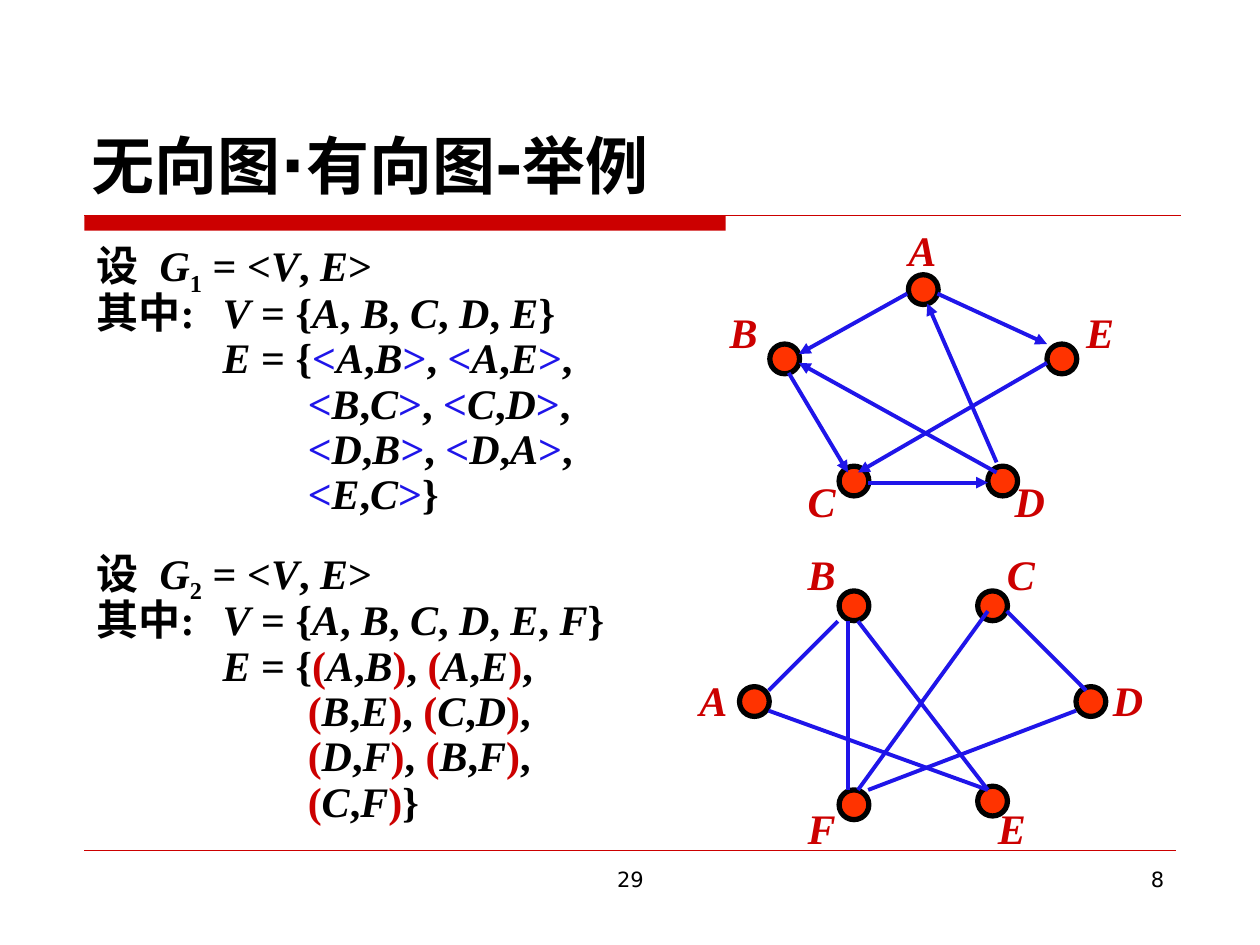
from itertools import groupby

from lxml.etree import SubElement
from pptx import Presentation
from pptx.dml.color import RGBColor
from pptx.enum.shapes import MSO_CONNECTOR, MSO_SHAPE
from pptx.enum.text import MSO_ANCHOR, MSO_AUTO_SIZE, PP_ALIGN
from pptx.oxml.ns import qn
from pptx.util import Pt

COLORS = {"black": "000000", "red": "CC0000", "blue": "1F15E9", "node": "FF3300"}
SANS, SERIF = "DejaVu Sans", "Times New Roman"
NODE_SIZE = 17
LABEL_SIZE = (34.6, 30.2)
TAB_STOP, EDGE_INDENT = 72, 120.6

TITLE = [("无向图", 36), ("·", 38), ("有向图", 36), ("-", 38), ("举例", 36)]

# nodes: name -> (circle left, top), (label left, top); edges: name -> start, end
GRAPHS = [
    {
        "number": 1, "top": 133.9, "brackets": "<>", "bracket_color": "blue", "directed": True,
        "nodes": {
            "A": ((519.1, 157), (507.6, 130.3)),
            "B": ((439.9, 196.6), (405.4, 177.1)),
            "C": ((479.5, 266.4), (450, 273.6)),
            "D": ((564.5, 266.4), (569.5, 273.6)),
            "E": ((598.3, 196.6), (609.1, 177.1)),
        },
        "edges": {
            "AB": ((518.4, 167.8), (456.5, 202.3)),
            "AE": ((535.7, 167.8), (598.3, 196.6)),
            "BC": ((450.7, 213.1), (484.6, 270)),
            "CD": ((496.1, 275.8), (564.5, 275.8)),
            "DB": ((569.5, 270), (456.5, 207.4)),
            "DA": ((569.5, 264.2), (529.9, 173.5)),
            "EC": ((598.3, 207.4), (490.3, 270)),
        },
    },
    {
        "number": 2, "top": 309.6, "brackets": "()", "bracket_color": "red", "directed": False,
        "nodes": {
            "A": ((422.6, 392.4), (388.1, 387.4)),
            "B": ((479.5, 337.7), (450, 315.4)),
            "C": ((558.7, 337.7), (563.8, 315.4)),
            "D": ((614.9, 392.4), (625.7, 387.4)),
            "E": ((558.7, 449.3), (558.7, 460.8)),
            "F": ((479.5, 451.4), (450, 460.8)),
        },
        "edges": {
            "AB": ((439.2, 394.6), (478.8, 355)),
            "AE": ((439.2, 406.1), (564.5, 451.4)),
            "BE": ((490.3, 355), (564.5, 451.4)),
            "CD": ((575.3, 349.2), (620.6, 394.6)),
            "DF": ((614.9, 406.1), (496.1, 451.4)),
            "BF": ((484.6, 355), (484.6, 451.4)),
            "CF": ((564.5, 349.2), (490.3, 451.4)),
        },
    },
]


def rgb(name):
    return RGBColor.from_string(COLORS[name])


def add_run(paragraph, text, size=24, font=SERIF, color="black", bold=True, italic=False,
            subscript=False):
    run = paragraph.add_run()
    run.text = text
    run.font.size, run.font.name = Pt(size), font
    run.font.bold, run.font.italic = bold, italic
    run.font.color.rgb = rgb(color)
    if subscript:
        run.font._element.set("baseline", "-25000")


def add_box(slide, left, top, width, height, anchor=MSO_ANCHOR.TOP, fit=False):
    box = slide.shapes.add_textbox(Pt(left), Pt(top), Pt(width), Pt(height))
    frame = box.text_frame
    frame.word_wrap = True
    frame.vertical_anchor = anchor
    frame.auto_size = MSO_AUTO_SIZE.SHAPE_TO_FIT_TEXT if fit else MSO_AUTO_SIZE.NONE
    return frame


def add_text(slide, text, left, top, width, height, align, spacing=1.0, fit=False, **style):
    paragraph = add_box(slide, left, top, width, height, fit=fit).paragraphs[0]
    paragraph.alignment, paragraph.line_spacing = align, spacing
    add_run(paragraph, text, **style)


def add_line(slide, start, end, color, width, arrow=False):
    line = slide.shapes.add_connector(MSO_CONNECTOR.STRAIGHT, *map(Pt, start + end))
    line.line.color.rgb, line.line.width = rgb(color), Pt(width)
    if arrow:
        SubElement(line.line._get_or_add_ln(), qn("a:tailEnd"), type="triangle")
    SubElement(line._element.spPr, qn("a:effectLst"))


def add_filled(slide, kind, left, top, width, height, color):
    shape = slide.shapes.add_shape(kind, Pt(left), Pt(top), Pt(width), Pt(height))
    shape.shadow.inherit = False
    shape.fill.solid()
    shape.fill.fore_color.rgb = rgb(color)
    return shape


def definition_lines(graph):
    """Return (text, indent, whether brackets are coloured) for each line of the definition."""
    opening, closing = graph["brackets"]
    pairs = [f"{opening}{a},{b}{closing}" for a, b in graph["edges"]]
    rows = [", ".join(pairs[i:i + 2]) for i in range(0, len(pairs), 2)]
    rows = [row + "," for row in rows[:-1]] + [rows[-1] + "}"]
    return [
        (f"设\tG{graph['number']} = <V, E>", 0, False),
        ("其中:\tV = {" + ", ".join(graph["nodes"]) + "}", 0, False),
        ("E = {" + rows[0], TAB_STOP, True),
        *[(row, EDGE_INDENT, True) for row in rows[1:]],
    ]


def character_kind(character):
    if character in "<>()":
        return "bracket"
    if character.isdigit():
        return "subscript"
    if character.isalpha():
        return "variable" if character.isascii() else "chinese"
    return "plain"


def add_definition(slide, graph):
    frame = add_box(slide, 48.2, graph["top"], 311.8, 166.3, fit=True)
    for index, (text, indent, colored) in enumerate(definition_lines(graph)):
        paragraph = frame.add_paragraph() if index else frame.paragraphs[0]
        properties = paragraph._p.get_or_add_pPr()
        properties.set("marL", str(Pt(indent)))
        properties.set("indent", "0")
        tabs = SubElement(properties, qn("a:tabLst"))
        SubElement(tabs, qn("a:tab"), pos=str(Pt(TAB_STOP)), algn="l")
        paragraph.line_spacing = 0.9
        for kind, characters in groupby(text, character_kind):
            tinted = colored and kind == "bracket"
            add_run(paragraph, "".join(characters),
                    font=SANS if kind == "chinese" else SERIF,
                    color=graph["bracket_color"] if tinted else "black",
                    italic=kind == "variable", subscript=kind == "subscript")


def add_graph(slide, graph):
    for name, (circle, label) in graph["nodes"].items():
        node = add_filled(slide, MSO_SHAPE.FLOWCHART_CONNECTOR, *circle,
                          NODE_SIZE, NODE_SIZE, "node")
        node.line.color.rgb, node.line.width = rgb("black"), Pt(3)
        add_text(slide, name, *label, *LABEL_SIZE, PP_ALIGN.RIGHT, spacing=0.8, fit=True,
                 color="red", italic=True)
    for start, end in graph["edges"].values():
        add_line(slide, start, end, "blue", 2.25, arrow=graph["directed"])


def main():
    presentation = Presentation()
    presentation.slide_width, presentation.slide_height = Pt(720), Pt(540)
    slide = presentation.slides.add_slide(presentation.slide_layouts[6])

    bar = add_filled(slide, MSO_SHAPE.RECTANGLE, 48.2, 123.1, 366.5, 8.7, "red")
    bar.line.fill.background()
    add_line(slide, (48.2, 123.1), (674.6, 123.1), "red", 0.75)
    add_line(slide, (48.2, 486), (671.8, 486), "red", 0.25)
    footer = {"size": 12, "font": SANS, "bold": False}
    add_text(slide, "29", 246.2, 491.8, 228.2, 37.4, PP_ALIGN.CENTER, **footer)
    add_text(slide, "8", 516.2, 491.8, 156.2, 37.4, PP_ALIGN.RIGHT, **footer)

    title = add_box(slide, 45.4, 23.8, 630, 95.8, anchor=MSO_ANCHOR.BOTTOM).paragraphs[0]
    for text, size in TITLE:
        add_run(title, text, size=size, font=SANS)

    for graph in GRAPHS:
        add_definition(slide, graph)
        add_graph(slide, graph)
    presentation.save("out.pptx")


if __name__ == "__main__":
    main()
